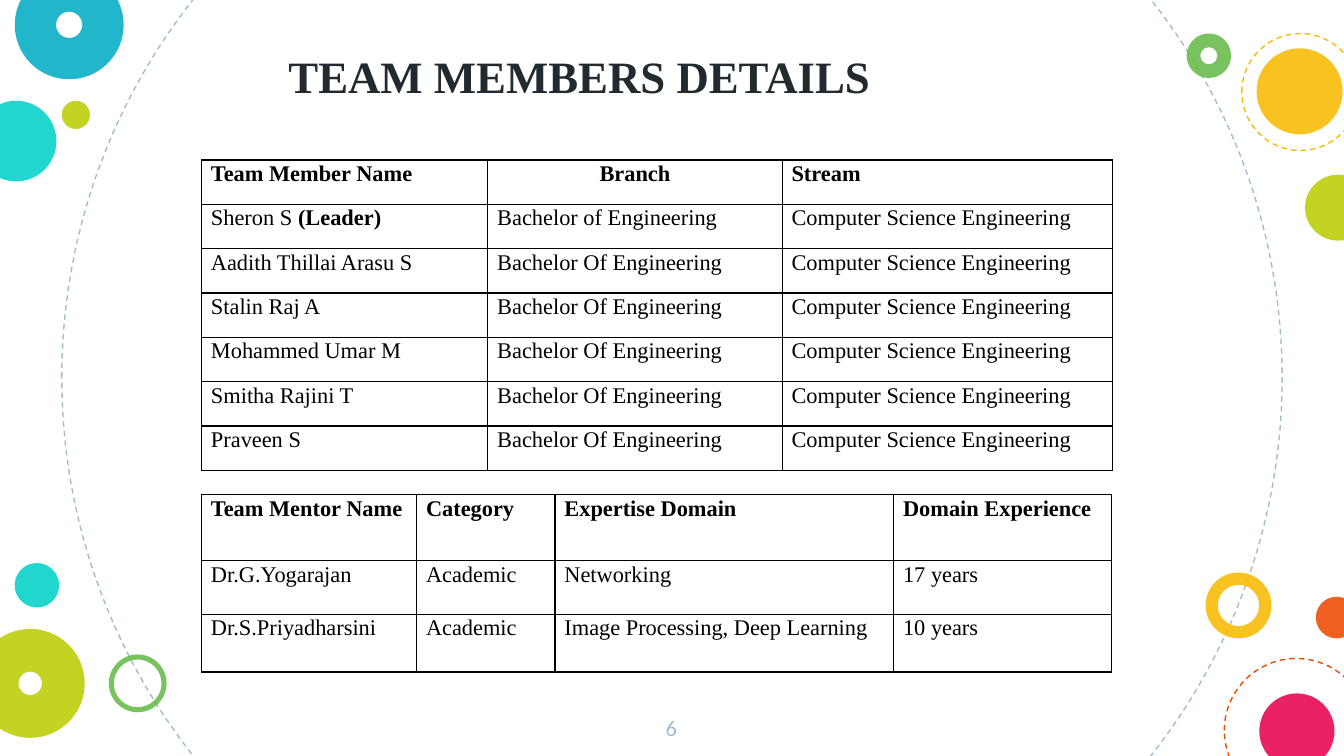
from lxml import etree
from pptx import Presentation
from pptx.dml.color import RGBColor
from pptx.enum.dml import MSO_LINE
from pptx.enum.shapes import MSO_SHAPE
from pptx.enum.text import MSO_ANCHOR, MSO_AUTO_SIZE, PP_ALIGN
from pptx.oxml.ns import qn
from pptx.util import Pt

EMU_PER_PX = 9144  # 100 px to the inch
SLIDE_WIDTH = 1000
TITLE_ONLY = 5
LEFT, CENTER = PP_ALIGN.LEFT, PP_ALIGN.CENTER
TOP, MIDDLE = MSO_ANCHOR.TOP, MSO_ANCHOR.MIDDLE
ELLIPSE, DONUT = MSO_SHAPE.OVAL, MSO_SHAPE.DONUT
DASH = MSO_LINE.DASH
SERIF, SANS = "Times New Roman", "Calibri"

BLACK, INK, MIST = "000000", "212A2E", "A1BECC"
TURQUOISE, TEAL, LIME, GREEN = "00D1C6", "00ACC3", "BBCD00", "65BB48"
YELLOW, ORANGE, PINK = "F8BB00", "ED4A00", "E8004C"

# Corner origin, then bubbles: left, top, diameter, colour, ring thickness (0 is solid)
CORNERS = [
    ((0, 0), [(-18, 75, 60, TURQUOISE, 0), (11, -22, 81, TEAL, 0.379),
              (46, 75, 21, LIME, 0)]),
    ((880, 0), [(3, 25, 33, GREEN, 0.306), (55, 36, 64, YELLOW, 0),
                (91, 130, 49, LIME, 0)]),
    ((0, 410), [(81, 77, 43, GREEN, 0.088), (-18, 58, 81, LIME, 0.392),
                (11, 9, 33, TURQUOISE, 0)]),
    ((890, 420), [(7, 6, 49, YELLOW, 0.186), (89, 24, 31, ORANGE, 0),
                  (47, 96, 56, PINK, 0)]),
]
ORBITS = [(46, -173, 908, MIST), (911, 490, 107, ORANGE), (924, 25, 87, YELLOW)]

MEMBERS = ["Aadith Thillai Arasu S", "Stalin Raj A", "Mohammed Umar M",
           "Smitha Rajini T", "Praveen S"]
STREAM = "Computer Science Engineering"
MEMBER_ROWS = [
    ["Team Member Name", "Branch", "Stream"],
    ["Sheron S ", "Bachelor of Engineering", STREAM],
] + [[name, "Bachelor Of Engineering", STREAM] for name in MEMBERS]
MENTOR_ROWS = [
    ["Team Mentor Name", "Category", "Expertise Domain", "Domain Experience"],
    ["Dr.G.Yogarajan", "Academic", "Networking", "17 years"],
    ["Dr.S.Priyadharsini", "Academic", "Image Processing, Deep Learning", "10 years"],
]


def px(length):
    return length * EMU_PER_PX


def rgb(color):
    return RGBColor.from_string(color)


def add_run(paragraph, text, size=12, font=SERIF, color=BLACK, bold=False):
    run = paragraph.add_run()
    run.text = text
    run.font.size = Pt(size)
    run.font.name = font
    run.font.bold = bold
    run.font.color.rgb = rgb(color)


def write_text(frame, text, align=LEFT, anchor=TOP, inset=10, spacing=1.0, **font):
    frame.word_wrap = True
    frame.auto_size = MSO_AUTO_SIZE.NONE
    frame.vertical_anchor = anchor
    frame.margin_left = frame.margin_right = px(inset)
    frame.margin_top = frame.margin_bottom = px(inset)
    paragraph = frame.paragraphs[0]
    paragraph.alignment = align
    paragraph.line_spacing = spacing
    add_run(paragraph, text, **font)


def add_circle(slide, left, top, diameter, kind=ELLIPSE):
    shape = slide.shapes.add_shape(kind, px(left), px(top), px(diameter), px(diameter))
    shape.shadow.inherit = False
    return shape


def add_orbit(slide, left, top, diameter, color):
    """Draw a dashed circle without fill."""
    shape = add_circle(slide, left, top, diameter)
    shape.fill.background()
    shape.line.color.rgb = rgb(color)
    shape.line.width = Pt(0.75)
    shape.line.dash_style = DASH


def add_corner(slide, origin, bubbles):
    for left, top, diameter, color, thickness in bubbles:
        shape = add_circle(slide, origin[0] + left, origin[1] + top, diameter,
                           DONUT if thickness else ELLIPSE)
        if thickness:
            shape.adjustments[0] = thickness
        shape.fill.solid()
        shape.fill.fore_color.rgb = rgb(color)
        fill_color = shape.fill._xPr.find(qn("a:solidFill"))[0]
        etree.SubElement(fill_color, qn("a:alpha"), val="87000")
        shape.line.fill.background()


def add_borders(cell):
    properties = cell._tc.get_or_add_tcPr()
    for index, side in enumerate(("lnL", "lnR", "lnT", "lnB")):
        line = etree.Element(qn("a:" + side), w=str(Pt(0.75)))
        fill = etree.SubElement(line, qn("a:solidFill"))
        etree.SubElement(fill, qn("a:srgbClr"), val=BLACK)
        properties.insert(index, line)


def add_grid(slide, left, top, widths, heights, rows):
    """Add a bordered table with a bold first row and return it."""
    table = slide.shapes.add_table(len(heights), len(widths), px(left), px(top),
                                   px(sum(widths)), px(sum(heights))).table
    table.first_row = table.horz_banding = False
    for column, width in zip(table.columns, widths):
        column.width = px(width)
    for row_index, (row, height, texts) in enumerate(zip(table.rows, heights, rows)):
        row.height = px(height)
        for cell, text in zip(row.cells, texts):
            cell.fill.background()
            add_borders(cell)
            cell.margin_left = cell.margin_right = px(7)
            cell.margin_top = cell.margin_bottom = 0
            paragraph = cell.text_frame.paragraphs[0]
            paragraph.line_spacing = 1.07
            paragraph.space_after = Pt(8)
            add_run(paragraph, text, bold=row_index == 0)
    return table


def add_title(slide, left, top, width, height):
    title = slide.shapes.title
    title.left, title.top, title.width, title.height = map(px, (left, top, width, height))
    write_text(title.text_frame, "TEAM MEMBERS DETAILS", align=CENTER, spacing=1.1,
               size=24, color=INK, bold=True)


def add_page_number(slide, left, top, width, height):
    box = slide.shapes.add_textbox(px(left), px(top), px(width), px(height))
    write_text(box.text_frame, "6", align=CENTER, anchor=MIDDLE, font=SANS, color=MIST)


def main():
    presentation = Presentation()
    presentation.slide_width = px(SLIDE_WIDTH)
    presentation.slide_height = px(SLIDE_WIDTH) * 9 // 16
    slide = presentation.slides.add_slide(presentation.slide_layouts[TITLE_ONLY])

    for orbit in ORBITS:
        add_orbit(slide, *orbit)
    for origin, bubbles in CORNERS:
        add_corner(slide, origin, bubbles)
    add_page_number(slide, 474, 520, 51, 43)
    add_title(slide, 125, 22, 612, 86)

    members = add_grid(slide, 150, 119, [213, 219, 246], [33] * len(MEMBER_ROWS),
                       MEMBER_ROWS)
    members.cell(0, 1).text_frame.paragraphs[0].alignment = CENTER
    add_run(members.cell(1, 0).text_frame.paragraphs[0], "(Leader)", bold=True)
    add_grid(slide, 150, 368, [160, 103, 252, 162], [49, 40, 43], MENTOR_ROWS)

    presentation.save("out.pptx")


if __name__ == "__main__":
    main()
